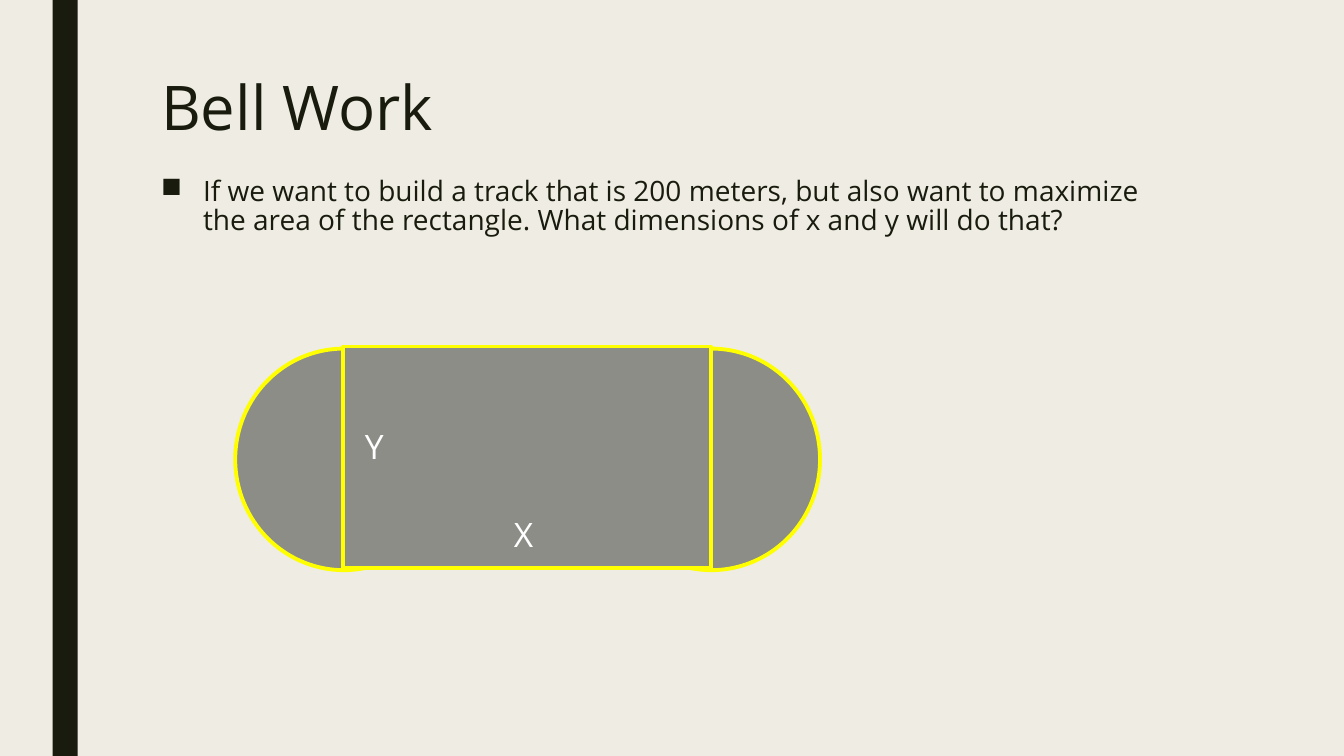
from dataclasses import dataclass

from lxml.etree import SubElement
from pptx import Presentation
from pptx.dml.color import RGBColor
from pptx.enum.shapes import MSO_SHAPE
from pptx.enum.text import MSO_ANCHOR
from pptx.oxml.ns import qn
from pptx.util import Emu, Pt

PX = 9525


@dataclass(frozen=True)
class Theme:
    font: str = "Open Sans"
    background: str = "EFEDE3"
    ink: str = "191B0E"
    field: str = "8C8D86"
    track: str = "FFFF00"
    label: str = "FFFFFF"
    title_size: int = 44
    body_size: int = 20
    label_size: int = 24
    track_width: float = 2.75


def px(*lengths):
    return [Emu(n * PX) for n in lengths]


class SlideBuilder:
    def __init__(self, slide, theme):
        self.slide = slide
        self.theme = theme
        fill = slide.background.fill
        fill.solid()
        fill.fore_color.rgb = RGBColor.from_string(theme.background)

    def shape(self, kind, box, fill, line=None):
        sp = self.slide.shapes.add_shape(kind, *px(*box))
        sp.shadow.inherit = False
        sp.fill.solid()
        sp.fill.fore_color.rgb = RGBColor.from_string(fill)
        if line:
            sp.line.color.rgb = RGBColor.from_string(line)
            sp.line.width = Pt(self.theme.track_width)
        else:
            sp.line.fill.background()
        return sp

    def text(self, text, box, size, color, spacing=1.0, bullet=None, indent=0, wrap=True):
        """Add a text box; indent is the hanging indent of a bullet in px."""
        tf = self.slide.shapes.add_textbox(*px(*box)).text_frame
        tf.word_wrap = wrap
        tf.vertical_anchor = MSO_ANCHOR.TOP
        p = tf.paragraphs[0]
        p.line_spacing = spacing
        if bullet:
            pPr = p._p.get_or_add_pPr()
            pPr.set("marL", str(indent * PX))
            pPr.set("indent", str(-indent * PX))
            SubElement(pPr, qn("a:buChar")).set("char", bullet)
        r = p.add_run()
        r.text = text
        r.font.name = self.theme.font
        r.font.size = Pt(size)
        r.font.color.rgb = RGBColor.from_string(color)


def main():
    prs = Presentation()
    prs.slide_width, prs.slide_height = px(1280, 720)
    theme = Theme()
    s = SlideBuilder(prs.slides.add_slide(prs.slide_layouts[6]), theme)

    s.shape(MSO_SHAPE.RECTANGLE, (50, 0, 24, 720), theme.ink)
    s.text("Bell Work", (144, 72, 1008, 156), theme.title_size, theme.ink, spacing=0.85)
    s.text(
        "If we want to build a track that is 200 meters, but also want to maximize "
        "the area of the rectangle. What dimensions of x and y will do that?",
        (144, 166, 965, 120), theme.body_size, theme.ink,
        spacing=0.84, bullet="■", indent=40,
    )

    # The rectangle hides the inner half of each end circle.
    left, top, width, height = 327, 330, 350, 211
    end_width = 207
    for edge in (left + width, left):
        end_box = (edge - end_width // 2, top + 2, end_width, height)
        s.shape(MSO_SHAPE.FLOWCHART_CONNECTOR, end_box, theme.field, theme.track)
    s.shape(MSO_SHAPE.RECTANGLE, (left, top, width, height), theme.field, theme.track)

    s.text("X", (480, 485, 36, 48), theme.label_size, theme.label, wrap=False)
    s.text("Y", (338, 401, 56, 48), theme.label_size, theme.label)

    prs.save("out.pptx")


if __name__ == "__main__":
    main()
